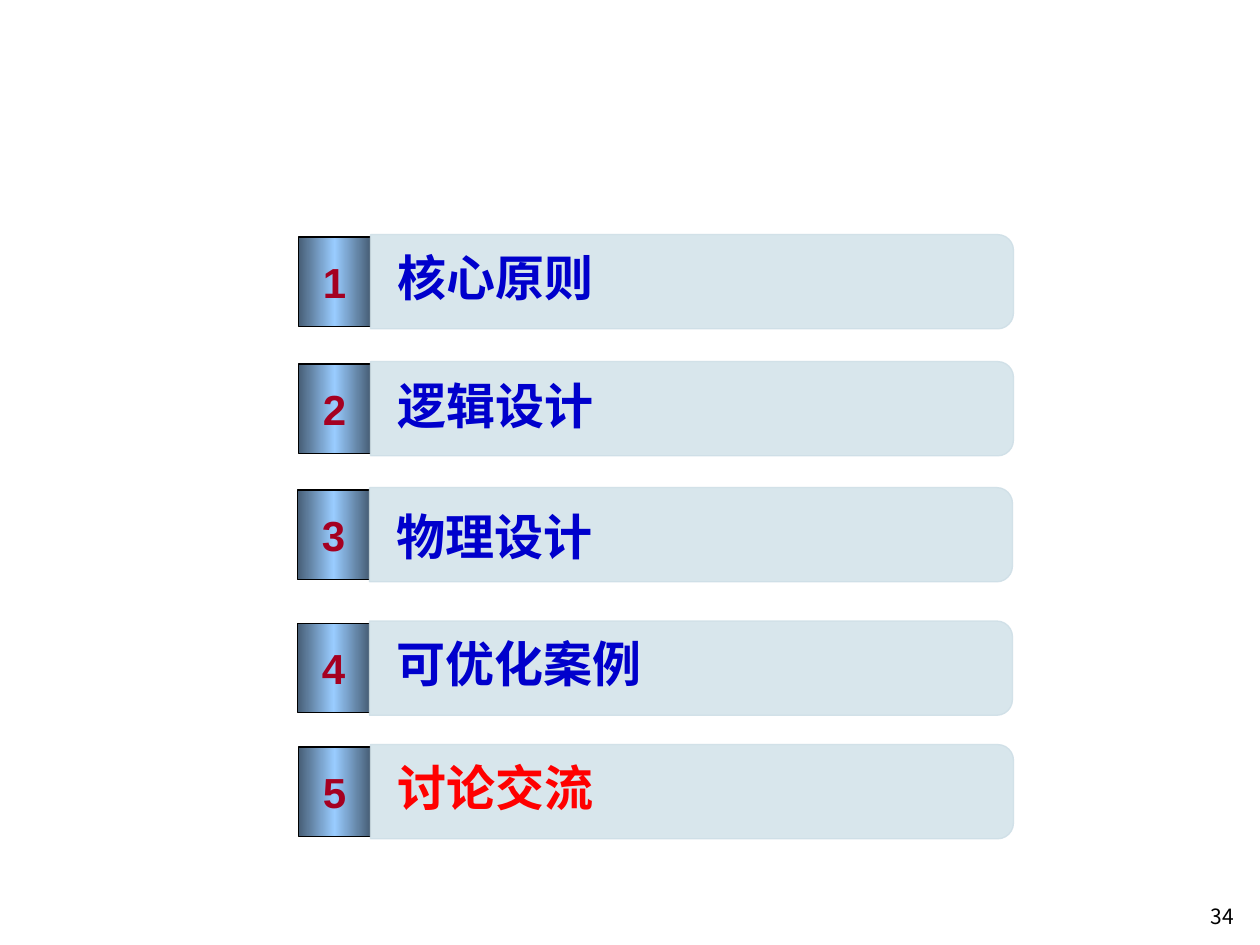
from copy import deepcopy

from pptx import Presentation
from pptx.dml.color import RGBColor
from pptx.enum.shapes import MSO_SHAPE
from pptx.enum.text import MSO_ANCHOR, PP_ALIGN
from pptx.oxml.ns import qn
from pptx.oxml.xmlchemy import OxmlElement
from pptx.util import Cm, Pt

RECT = MSO_SHAPE.RECTANGLE
ROUND_TOP = MSO_SHAPE.ROUND_2_SAME_RECTANGLE
MIDDLE = MSO_ANCHOR.MIDDLE
CENTER = PP_ALIGN.CENTER

STEEL = RGBColor(0x47, 0x5E, 0x76)
SKY = RGBColor(0x99, 0xCC, 0xFF)
PALE = RGBColor(0xD4, 0xE4, 0xEB)
PALE_EDGE = RGBColor(0xCF, 0xDF, 0xE7)
CRIMSON = RGBColor(0xA5, 0x00, 0x21)
BLUE = RGBColor(0x00, 0x00, 0xCC)
RED = RGBColor(0xFF, 0x00, 0x00)
BLACK = RGBColor(0x00, 0x00, 0x00)

BADGE_W, BADGE_H = 1.45, 1.8
BAR_LENGTH, BAR_H = 12.96, 1.9
LABEL_INDENT = 1.75

# Title, colour, badge left and top, label drop, label width and height (cm)
AGENDA = [
    ("核心原则", BLUE, 6.02, 4.78, 0.08, 11.76, 1.52),
    ("逻辑设计", BLUE, 6.02, 7.34, 0.1, 11.76, 1.52),
    ("物理设计", BLUE, 6.0, 9.88, 0.2, 14.02, 1.6),
    ("可优化案例", BLUE, 6.0, 12.57, 0.08, 14.02, 1.6),
    ("讨论交流", RED, 6.02, 15.06, 0.08, 14.02, 1.6),
]


def write(shape, text, size, color, font="Arial", bold=True):
    p = shape.text_frame.paragraphs[0]
    p.text = text
    p.font.name = font
    p.font.size = Pt(size)
    p.font.bold = bold
    p.font.color.rgb = color
    return p


def set_alpha(sp, percent):
    """Make the fill and the line of a shape partly transparent."""
    for clr in sp._element.spPr.iter(qn("a:srgbClr")):
        alpha = OxmlElement("a:alpha")
        alpha.set("val", str(percent * 1000))
        clr.append(alpha)


def set_cylinder_fill(sp):
    """Left-to-right gradient, dark at both sides and light in the middle."""
    sp.fill.gradient()
    sp.fill.gradient_angle = 0
    for stop in sp.fill.gradient_stops:
        stop.color.rgb = STEEL
    first = sp._element.spPr.find(".//" + qn("a:gs"))
    first.addnext(deepcopy(first))
    middle = sp.fill.gradient_stops[1]
    middle.position = 0.5
    middle.color.rgb = SKY


def add_badge(shapes, number, left, top):
    sp = shapes.add_shape(RECT, Cm(left), Cm(top), Cm(BADGE_W), Cm(BADGE_H))
    sp.shadow.inherit = False
    set_cylinder_fill(sp)
    sp.line.color.rgb = BLACK
    sp.line.width = Pt(0.75)
    sp.text_frame.word_wrap = False
    sp.text_frame.vertical_anchor = MIDDLE
    write(sp, str(number), 24, CRIMSON).alignment = CENTER


def add_bar(shapes, left, middle):
    # Upright shape turned a quarter, so its rounded end faces right
    sp = shapes.add_shape(ROUND_TOP, Cm(left + (BAR_LENGTH - BAR_H) / 2),
                          Cm(middle - BAR_LENGTH / 2), Cm(BAR_H), Cm(BAR_LENGTH))
    sp.rotation = 90
    sp.shadow.inherit = False
    sp.fill.solid()
    sp.fill.fore_color.rgb = PALE
    sp.line.color.rgb = PALE_EDGE
    sp.line.width = Pt(0.75)
    set_alpha(sp, 90)


def add_label(shapes, left, top, width, height):
    box = shapes.add_textbox(Cm(left), Cm(top), Cm(width), Cm(height))
    box.text_frame.word_wrap = True
    return box


def add_agenda_row(slide, number, title, color, left, top, drop, width, height):
    shapes = slide.shapes.add_group_shape().shapes
    add_badge(shapes, number, left, top)
    add_bar(shapes, left + BADGE_W, top + BADGE_H / 2)
    label = add_label(shapes, left + LABEL_INDENT, top + drop, width, height)
    write(label, title, 28, color)


def main():
    prs = Presentation()
    prs.slide_width, prs.slide_height = Cm(25.4), Cm(19.05)
    slide = prs.slides.add_slide(prs.slide_layouts[6])

    # Agenda
    for number, row in enumerate(AGENDA, start=1):
        add_agenda_row(slide, number, *row)

    # Page number
    page = add_label(slide.shapes, 24.16, 17.96, 1.14, 1.02)
    page.text_frame.vertical_anchor = MIDDLE
    write(page, "34", 12, BLACK, "Noto Sans CJK SC", bold=False)

    prs.save("out.pptx")


if __name__ == "__main__":
    main()
